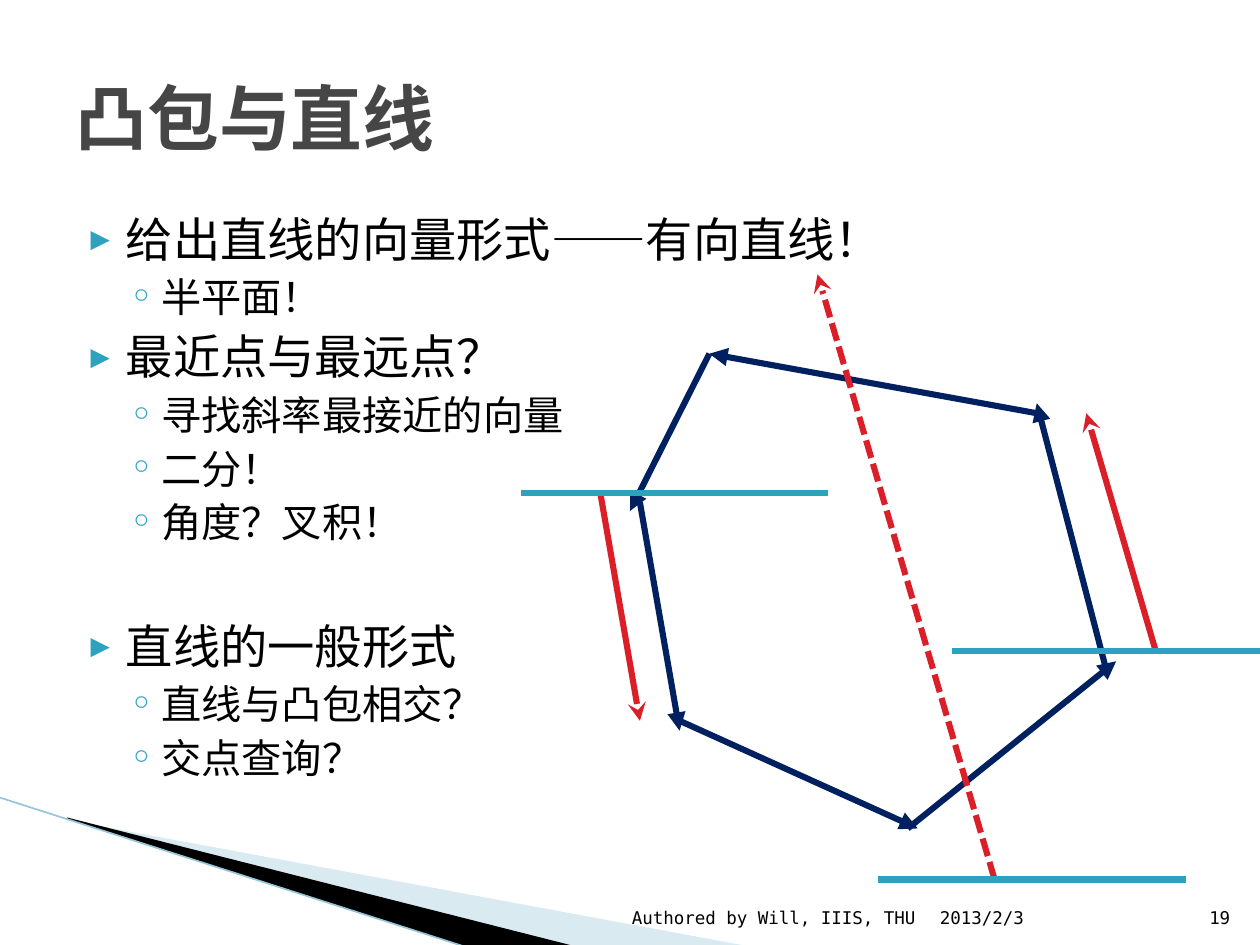
from pptx import Presentation
from pptx.dml.color import RGBColor
from pptx.enum.dml import MSO_LINE
from pptx.enum.shapes import MSO_CONNECTOR
from pptx.enum.text import MSO_ANCHOR as ANCHOR, PP_ALIGN as ALIGN
from pptx.oxml.ns import qn
from pptx.util import Cm, Pt
from lxml.etree import SubElement

FONT = "DejaVu Sans Mono"
BLACK, GREY, NAVY, RED, TEAL = "000000", "464646", "002060", "DA1F28", "2DA2BF"

# Per level: text size, space before, left margin and indent in cm, bullet, bullet size
LEVELS = [(27, 4, 1.02, -0.71, "▶", 68), (23, 3.2, 1.73, -0.64, "◦", 100)]
SECTION_GAP = 36.5

# Level, text, extra space before
OUTLINE = [
    (0, "给出直线的向量形式——有向直线！", 0),
    (1, "半平面！", 0),
    (0, "最近点与最远点？", 0),
    (1, "寻找斜率最接近的向量", 0),
    (1, "二分！", 0),
    (1, "角度？叉积！", 0),
    (0, "直线的一般形式", SECTION_GAP),
    (1, "直线与凸包相交？", 0),
    (1, "交点查询？", 0),
]

# All points are in cm, relative to the left top corner of the figure
HULL_EDGES = [
    ((3.8, 1.6), (2.2, 4.77)),
    ((2.4, 4.6), (3.2, 9.2)),
    ((3.2, 9), (8, 11.17)),
    ((7.8, 11.17), (12, 7.8)),
    ((11.8, 7.97), (10.4, 2.6)),
    ((10.4, 2.8), (3.8, 1.6)),
]
DIRECTIONS = [
    ((1.6, 4.4), (2.4, 9), None),
    ((12.8, 7.6), (11.4, 2.8), None),
    ((9.55, 12.2), (5.98, 0), MSO_LINE.SQUARE_DOT),
]
SUPPORT_STARTS = [(7.2, 12.2), (8.7, 7.6), (0, 4.4)]
SUPPORT_LENGTH = 6.2


def rgb(value):
    return RGBColor.from_string(value)


def place(sp, left, top, width, height):
    sp.left, sp.top, sp.width, sp.height = Cm(left), Cm(top), Cm(width), Cm(height)


def style_run(p, size, color, bold=False):
    for r in p.runs:
        r.font.name, r.font.size, r.font.bold = FONT, Pt(size), bold
        r.font.color.rgb = rgb(color)


def add_line(shapes, start, end, color, width=3.5, head=None, dash=None):
    s = shapes.add_connector(MSO_CONNECTOR.STRAIGHT, *map(Cm, start + end))
    s.line.color.rgb = rgb(color)
    s.line.width = Pt(width)
    if dash is not None:
        s.line.dash_style = dash
    if head:
        SubElement(s.line._get_or_add_ln(), qn("a:tailEnd"), type=head)
    SubElement(s._element.spPr, qn("a:effectLst"))


def add_wedge(slide, points, color, alpha=None):
    start, *rest = [(Cm(x), Cm(y)) for x, y in points]
    builder = slide.shapes.build_freeform(*start)
    builder.add_line_segments(rest)
    s = builder.convert_to_shape()
    s.shadow.inherit = False
    s.line.fill.background()
    s.fill.solid()
    s.fill.fore_color.rgb = rgb(color)
    if alpha:
        clr = s._element.spPr.find(qn("a:solidFill"))[0]
        SubElement(clr, qn("a:alpha"), val=str(alpha * 1000))


def add_corner(slide, x, y):
    """Draw the slanted decoration that starts at the left edge."""
    pale = [(1.4, 0.46), (15.11, 3), (11.58, 3), (1.4, 0.43)]
    dark = [(1.35, 0.4), (11.61, 3), (9.45, 3.02), (1.37, 0.43)]
    for points, color, alpha in [(pale, "A0CBDC", 40), (dark, BLACK, None)]:
        add_wedge(slide, [(x + px, y + py) for px, py in points], color, alpha)
    add_line(slide.shapes, (x, y), (x + 9.42, y + 3.02), "97C5D8", 0.95)


def set_title(slide, text, box):
    sp = slide.shapes.title
    place(sp, *box)
    tf = sp.text_frame
    tf.text = text
    tf.vertical_anchor = ANCHOR.MIDDLE
    tf.paragraphs[0].alignment = ALIGN.LEFT
    style_run(tf.paragraphs[0], 41, GREY, bold=True)


def add_bullet(p, char, percent, margin, indent):
    pPr = p._p.get_or_add_pPr()
    pPr.set("marL", str(Cm(margin)))
    pPr.set("indent", str(Cm(indent)))
    SubElement(SubElement(pPr, qn("a:buClr")), qn("a:srgbClr"), val=TEAL)
    SubElement(pPr, qn("a:buSzPct"), val=str(percent * 1000))
    SubElement(pPr, qn("a:buFont"), typeface=FONT)
    SubElement(pPr, qn("a:buChar"), char=char)


def add_outline(slide, box):
    tf = slide.shapes.add_textbox(*map(Cm, box)).text_frame
    tf.word_wrap = True
    for i, (level, text, gap) in enumerate(OUTLINE):
        size, before, margin, indent, char, percent = LEVELS[level]
        p = tf.add_paragraph() if i else tf.paragraphs[0]
        p.text = text
        p.level = level
        p.space_before = Pt(before + gap)
        add_bullet(p, char, percent, margin, indent)
        style_run(p, size, BLACK)


def add_figure(slide, x, y):
    """Draw the convex hull, the directed lines and the support lines."""
    def at(point):
        return x + point[0], y + point[1]

    hull = slide.shapes.add_group_shape()
    for start, end in HULL_EDGES:
        add_line(hull.shapes, at(start), at(end), NAVY, head="triangle")
    for start, end, dash in DIRECTIONS:
        add_line(slide.shapes, at(start), at(end), RED, head="stealth", dash=dash)
    for px, py in SUPPORT_STARTS:
        add_line(slide.shapes, at((px, py)), at((px + SUPPORT_LENGTH, py)), TEAL)


def add_footer(slide, x, y, height):
    parts = [
        ("Authored by Will, IIIS, THU", 6.53, ALIGN.RIGHT),
        ("2013/2/3", 5.33, ALIGN.LEFT),
        ("19", 1.02, ALIGN.RIGHT),
    ]
    for text, width, align in parts:
        tf = slide.shapes.add_textbox(*map(Cm, (x, y, width, height))).text_frame
        tf.word_wrap = True
        tf.vertical_anchor = ANCHOR.BOTTOM
        tf.text = text
        tf.paragraphs[0].alignment = align
        style_run(tf.paragraphs[0], 10, BLACK)
        x += width


def main():
    prs = Presentation()
    prs.slide_width, prs.slide_height = Cm(25.4), Cm(19.05)
    slide = prs.slides.add_slide(prs.slide_layouts[5])
    add_corner(slide, 0, 16.08)
    add_outline(slide, (1.27, 4.11, 22.86, 12.57))
    set_title(slide, "凸包与直线", (1.27, 0.76, 22.86, 3.18))
    add_figure(slide, 10.5, 5.53)
    add_footer(slide, 12.17, 17.81, 1.02)
    prs.save("out.pptx")


if __name__ == "__main__":
    main()
